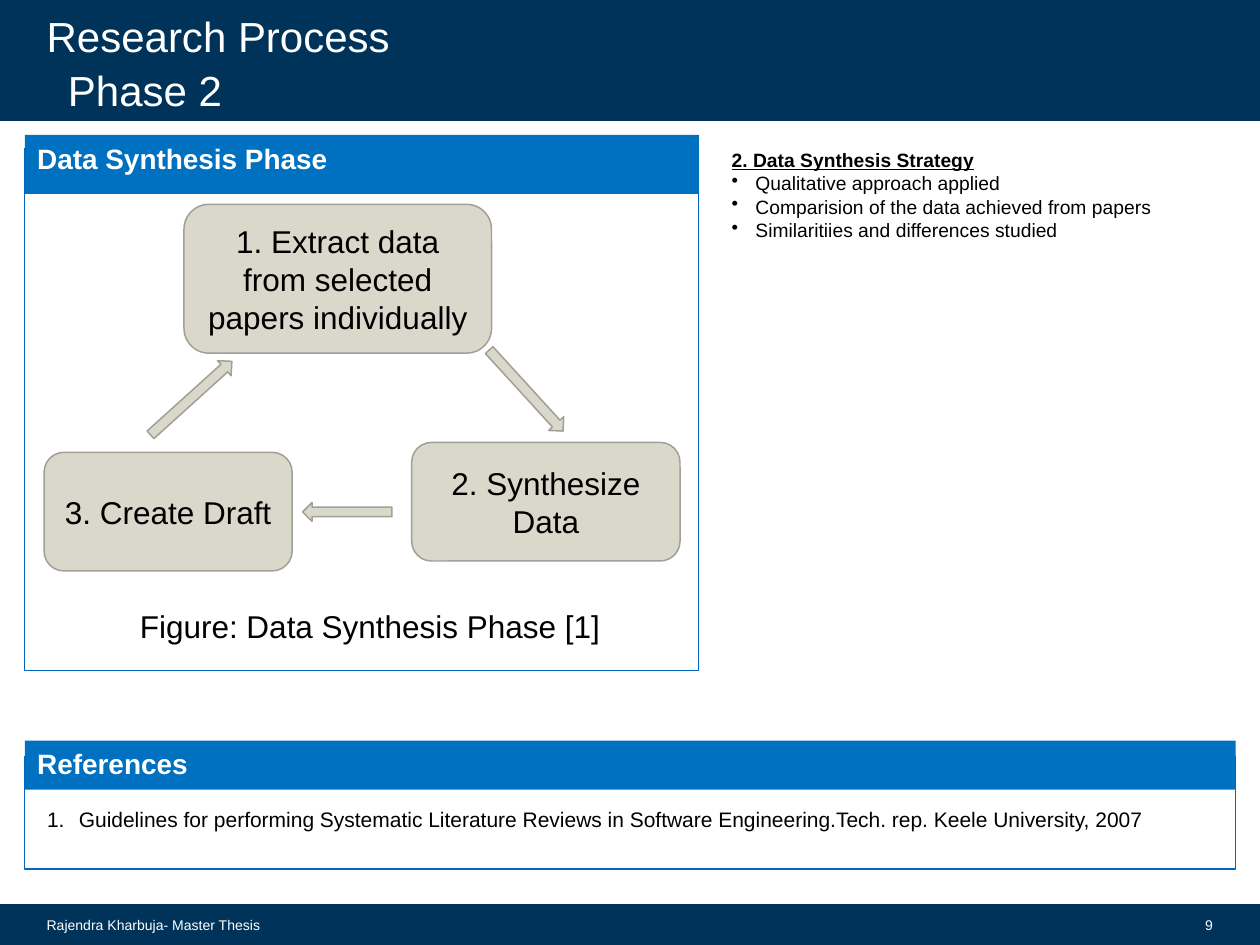
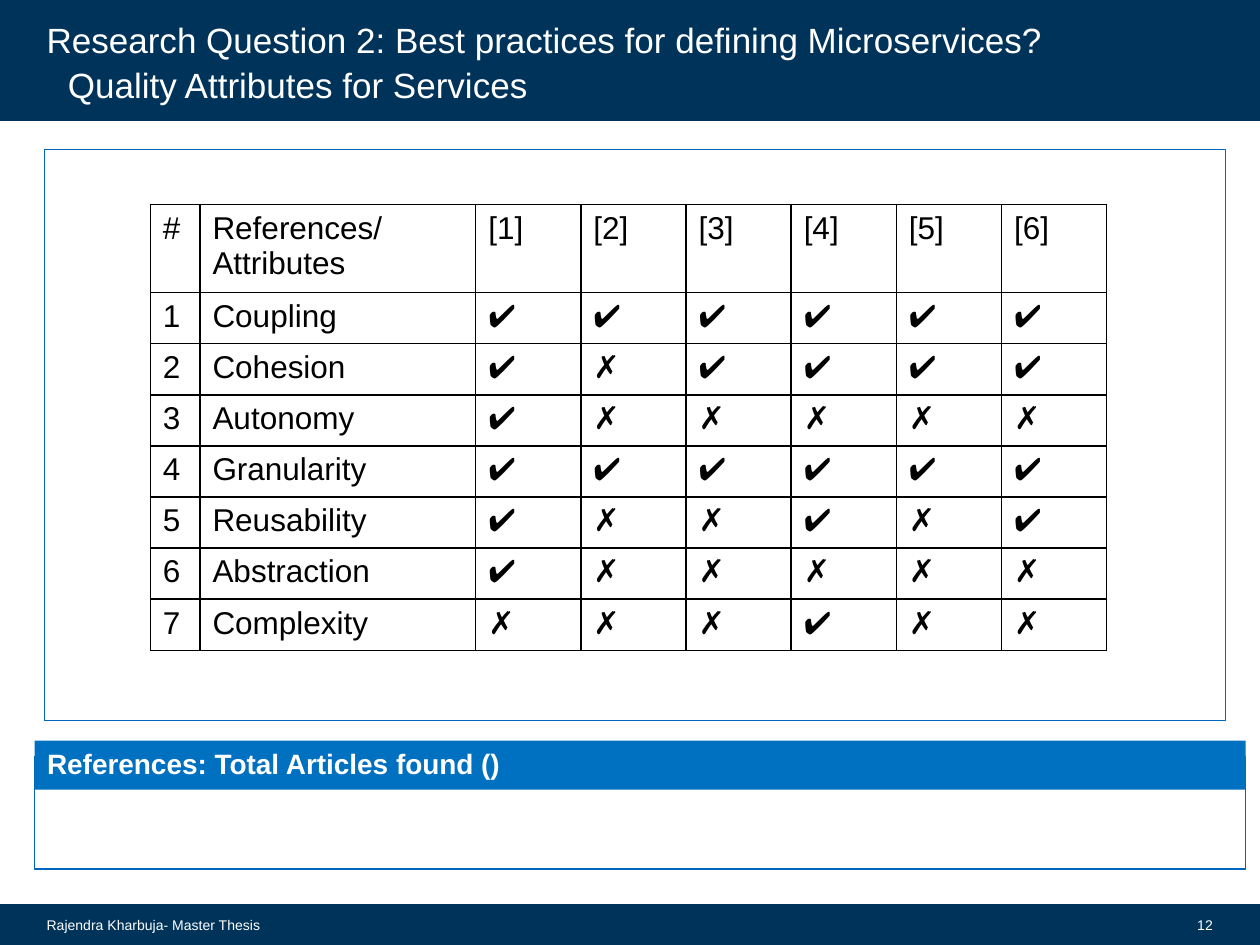
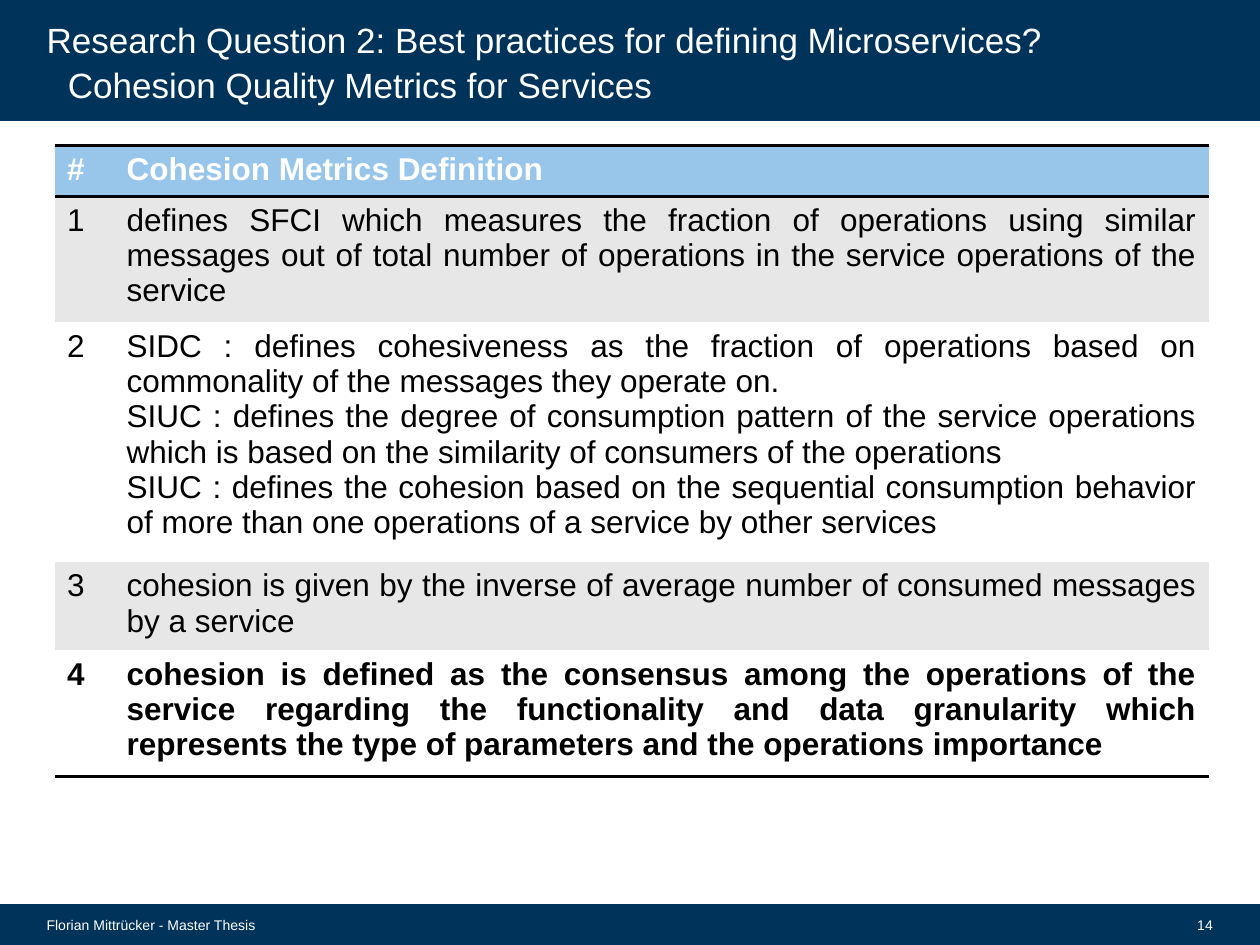
from lxml import etree
from pptx import Presentation
from pptx.dml.color import RGBColor
from pptx.enum.shapes import MSO_SHAPE
from pptx.enum.text import MSO_ANCHOR, PP_ALIGN
from pptx.oxml.ns import qn
from pptx.util import Cm, Pt

RECTANGLE = MSO_SHAPE.RECTANGLE
ROUNDED = MSO_SHAPE.ROUNDED_RECTANGLE
ARROW = MSO_SHAPE.RIGHT_ARROW
TOP, MIDDLE, BOTTOM = MSO_ANCHOR.TOP, MSO_ANCHOR.MIDDLE, MSO_ANCHOR.BOTTOM
LEFT, CENTER, RIGHT, JUSTIFY = PP_ALIGN.LEFT, PP_ALIGN.CENTER, PP_ALIGN.RIGHT, PP_ALIGN.JUSTIFY

NAVY = RGBColor(0x00, 0x33, 0x59)
BANNER_BLUE = RGBColor(0x00, 0x70, 0xC0)
FRAME_BLUE = RGBColor(0x00, 0x65, 0xBD)
HEADER_BLUE = RGBColor(0x98, 0xC6, 0xEA)
STONE = RGBColor(0xDA, 0xD7, 0xCB)
STONE_EDGE = RGBColor(0xA1, 0x9F, 0x96)
ROW_GREY = RGBColor(0xE7, 0xE7, 0xE7)
WHITE = RGBColor(0xFF, 0xFF, 0xFF)
BLACK = RGBColor(0x00, 0x00, 0x00)

FONT = "Arial"
HEADING_SPACING = 1.08
SLIDE_WIDTH, SLIDE_HEIGHT = 25.4, 19.05
ROW_HEIGHT = 1.03
NO_GRID_STYLE = "{2D5ABB26-0587-4C30-8999-92F81FD0307C}"
QUESTION = "Research Question 2: Best practices for defining Microservices?"
AUTHOR = "Rajendra Kharbuja- Master Thesis"

ATTRIBUTE_MARKS = [
    ("Coupling", "✔✔✔✔✔✔"),
    ("Cohesion", "✔✗✔✔✔✔"),
    ("Autonomy", "✔✗✗✗✗✗"),
    ("Granularity", "✔✔✔✔✔✔"),
    ("Reusability", "✔✗✗✔✗✔"),
    ("Abstraction", "✔✗✗✗✗✗"),
    ("Complexity", "✗✗✗✔✗✗"),
]
COHESION_METRICS = [
    "defines SFCI which measures the fraction of operations using similar messages "
    "out of total number of operations in the service operations of the service",
    "SIDC : defines cohesiveness as the fraction of operations based on commonality "
    "of the messages they operate on.\n"
    "SIUC : defines the degree of consumption pattern of the service operations "
    "which is based on the similarity of consumers of the operations\n"
    "SIUC : defines the cohesion based on the sequential consumption behavior of "
    "more than one operations of a service by other services",
    "cohesion is given by the inverse of average number of consumed messages by a service",
    "cohesion is defined as the consensus among the operations of the service regarding "
    "the functionality and data granularity which represents the type of parameters "
    "and the operations importance",
]


def write(frame, text, size, color=BLACK, bold=False, align=LEFT):
    """Fill a text frame with evenly formatted paragraphs."""
    frame.text = text
    for paragraph in frame.paragraphs:
        paragraph.alignment = align
        for run in paragraph.runs:
            run.font.name = FONT
            run.font.size = Pt(size)
            run.font.bold = bold
            run.font.color.rgb = color


def add_text(slide, area, text, size, color=BLACK, align=LEFT, anchor=TOP):
    """Add a text box and return its text frame."""
    frame = slide.shapes.add_textbox(*map(Cm, area)).text_frame
    frame.word_wrap = True
    frame.vertical_anchor = anchor
    write(frame, text, size, color, align=align)
    return frame


def add_block(slide, kind, area, fill=None, edge=None, edge_width=0.75):
    """Add a flat preset shape with optional fill and outline."""
    block = slide.shapes.add_shape(kind, *map(Cm, area))
    block.shadow.inherit = False
    if fill is None:
        block.fill.background()
    else:
        block.fill.solid()
        block.fill.fore_color.rgb = fill
    if edge is None:
        block.line.fill.background()
    else:
        block.line.color.rgb = edge
        block.line.width = Pt(edge_width)
    return block


def set_bullet(paragraph, tag, indent, **attributes):
    """Give a paragraph a hanging bullet or number."""
    properties = paragraph._p.get_or_add_pPr()
    properties.set("marL", str(Cm(indent)))
    properties.set("indent", str(-Cm(indent)))
    etree.SubElement(properties, qn(tag), attributes)


def add_heading(slide, left, top, text, size):
    """Add one line of the title inside the header band."""
    frame = add_text(slide, (left, top, 20.93, 0.99), text, size, WHITE, anchor=BOTTOM)
    frame.margin_top = frame.margin_bottom = 0
    frame.paragraphs[0].line_spacing = HEADING_SPACING


def add_base(deck, title, subtitle, size, subtitle_top, author, number):
    """Add a slide with its bands, two-line title and footer."""
    slide = deck.slides.add_slide(deck.slide_layouts[6])
    for top, height in ((18.24, 0.81), (0, 2.42)):
        add_block(slide, RECTANGLE, (0, top, SLIDE_WIDTH, height), NAVY, NAVY, 1.35)
    add_heading(slide, 0.69, 0.23, title, size)
    add_heading(slide, 1.12, subtitle_top, subtitle, size)
    add_text(slide, (0.69, 18.24, 5.41, 0.81), author, 8, WHITE, anchor=MIDDLE)
    add_text(slide, (23.2, 18.24, 1.5, 0.81), str(number), 8, WHITE, RIGHT, MIDDLE)
    return slide


def add_panel(slide, area, heading, banner_height, rise):
    """Add an outlined panel whose banner starts above its frame."""
    left, top, width, _ = area
    add_block(slide, RECTANGLE, area, edge=FRAME_BLUE)
    banner = add_block(slide, RECTANGLE, (left, top - rise, width, banner_height), BANNER_BLUE)
    banner.text_frame.vertical_anchor = TOP
    write(banner.text_frame, heading, 16, WHITE, bold=True)


def add_references(slide, left, heading):
    """Add the references panel at the foot of a slide."""
    add_panel(slide, (left, 15.26, 24.41, 2.26), heading, 0.99, 0.33)


def add_step(slide, area, text):
    """Add a rounded step of the cycle."""
    step = add_block(slide, ROUNDED, area, STONE, STONE_EDGE, 0.85)
    step.text_frame.vertical_anchor = MIDDLE
    write(step.text_frame, text, 18, align=CENTER)


def add_grid(slide, left, top, widths, row_count):
    """Add an unstyled table with the given column widths."""
    holder = slide.shapes.add_table(
        row_count, len(widths), Cm(left), Cm(top), Cm(sum(widths)), Cm(ROW_HEIGHT * row_count)
    )
    grid = holder.table
    grid.first_row = grid.horz_banding = False
    grid._tbl.tblPr.find(qn("a:tableStyleId")).text = NO_GRID_STYLE
    for column, width in zip(grid.columns, widths):
        column.width = Cm(width)
    for row in grid.rows:
        row.height = Cm(ROW_HEIGHT)
    return grid


def set_borders(cell, sides, width):
    """Draw black borders on the given sides, ordered L, R, T, B."""
    properties = cell._tc.get_or_add_tcPr()
    for side in sides:
        border = etree.SubElement(properties, qn(f"a:ln{side}"), w=str(Pt(width)))
        fill = etree.SubElement(border, qn("a:solidFill"))
        etree.SubElement(fill, qn("a:srgbClr"), val=str(BLACK))


def build_synthesis(deck):
    """Build the slide about the data synthesis phase."""
    slide = add_base(deck, "Research Process", "Phase 2", 24, 1.32, AUTHOR, 9)
    add_panel(slide, (0.5, 3, 13.59, 10.52), "Data Synthesis Phase", 1.19, 0.28)
    add_step(slide, (3.71, 4.12, 6.2, 3), "1. Extract data from selected papers individually")
    add_step(slide, (8.3, 8.92, 5.41, 2.39), "2. Synthesize Data")
    add_step(slide, (0.89, 9.12, 5, 2.39), "3. Create Draft")
    for area, angle in (
        ((9.5, 7.67, 2.21, 0.41), 47.6),
        ((6.1, 10.13, 1.8, 0.38), 180),
        ((2.75, 7.82, 2.21, 0.41), 317.9),
    ):
        add_block(slide, ARROW, area, STONE, STONE_EDGE, 0.85).rotation = angle
    add_text(slide, (2.57, 12.12, 10.5, 1.02), "Figure: Data Synthesis Phase [1]", 18)

    strategy = add_text(
        slide,
        (14.5, 2.87, 9.6, 3.1),
        "2. Data Synthesis Strategy\n"
        "Qualitative approach applied\n"
        "Comparision of the data achieved from papers\n"
        "Similaritiies and differences studied",
        11,
    )
    heading, *points = strategy.paragraphs
    heading.runs[0].font.bold = heading.runs[0].font.underline = True
    for point in points:
        set_bullet(point, "a:buChar", 0.48, char="•")

    add_references(slide, 0.5, "References")
    guideline = add_text(
        slide,
        (0.7, 16.13, 24, 1.8),
        "Guidelines for performing Systematic Literature Reviews in Software "
        "Engineering.Tech. rep. Keele University, 2007",
        12,
    )
    set_bullet(guideline.paragraphs[0], "a:buAutoNum", 0.64, type="arabicPeriod")


def build_attributes(deck):
    """Build the slide comparing quality attributes by reference."""
    slide = add_base(deck, QUESTION, "Quality Attributes for Services", 20, 1.13, AUTHOR, 12)
    add_block(slide, RECTANGLE, (0.9, 3.01, 23.8, 11.51), edge=FRAME_BLUE)
    add_references(slide, 0.7, "References: Total Articles found ()")
    rows = [["#", "References/Attributes"] + [f"[{n}]" for n in range(1, 7)]]
    rows += [[str(n), name, *marks] for n, (name, marks) in enumerate(ATTRIBUTE_MARKS, 1)]
    grid = add_grid(slide, 3.03, 4.12, [1, 5.56] + [2.12] * 6, len(rows))
    for r, row in enumerate(rows):
        for c, text in enumerate(row):
            cell = grid.cell(r, c)
            write(cell.text_frame, text, 18)
            set_borders(cell, "LRTB", 1)
            cell.fill.background()


def build_metrics(deck):
    """Build the slide defining the cohesion metrics."""
    slide = add_base(
        deck, QUESTION, "Cohesion Quality Metrics for Services", 20, 1.13,
        "Florian Mittrücker - Master Thesis", 14,
    )
    rows = [("#", "Cohesion Metrics Definition")]
    rows += [(str(n), metric) for n, metric in enumerate(COHESION_METRICS, 1)]
    last = len(rows) - 1
    grid = add_grid(slide, 1.1, 2.93, [1.2, 22.07], len(rows))
    for r, row in enumerate(rows):
        is_header = r == 0
        fill = HEADER_BLUE if is_header else ROW_GREY if r % 2 else WHITE
        sides = "TB" if is_header else "B" if r == last else ""
        for c, text in enumerate(row):
            cell = grid.cell(r, c)
            align = JUSTIFY if c == 1 and not is_header else LEFT
            color = WHITE if is_header else BLACK
            write(cell.text_frame, text, 18, color, r in (0, last), align)
            set_borders(cell, sides, 2)
            cell.fill.solid()
            cell.fill.fore_color.rgb = fill


def main():
    """Build the three slides and save the deck."""
    deck = Presentation()
    deck.slide_width, deck.slide_height = Cm(SLIDE_WIDTH), Cm(SLIDE_HEIGHT)
    build_synthesis(deck)
    build_attributes(deck)
    build_metrics(deck)
    deck.save("out.pptx")


if __name__ == "__main__":
    main()
